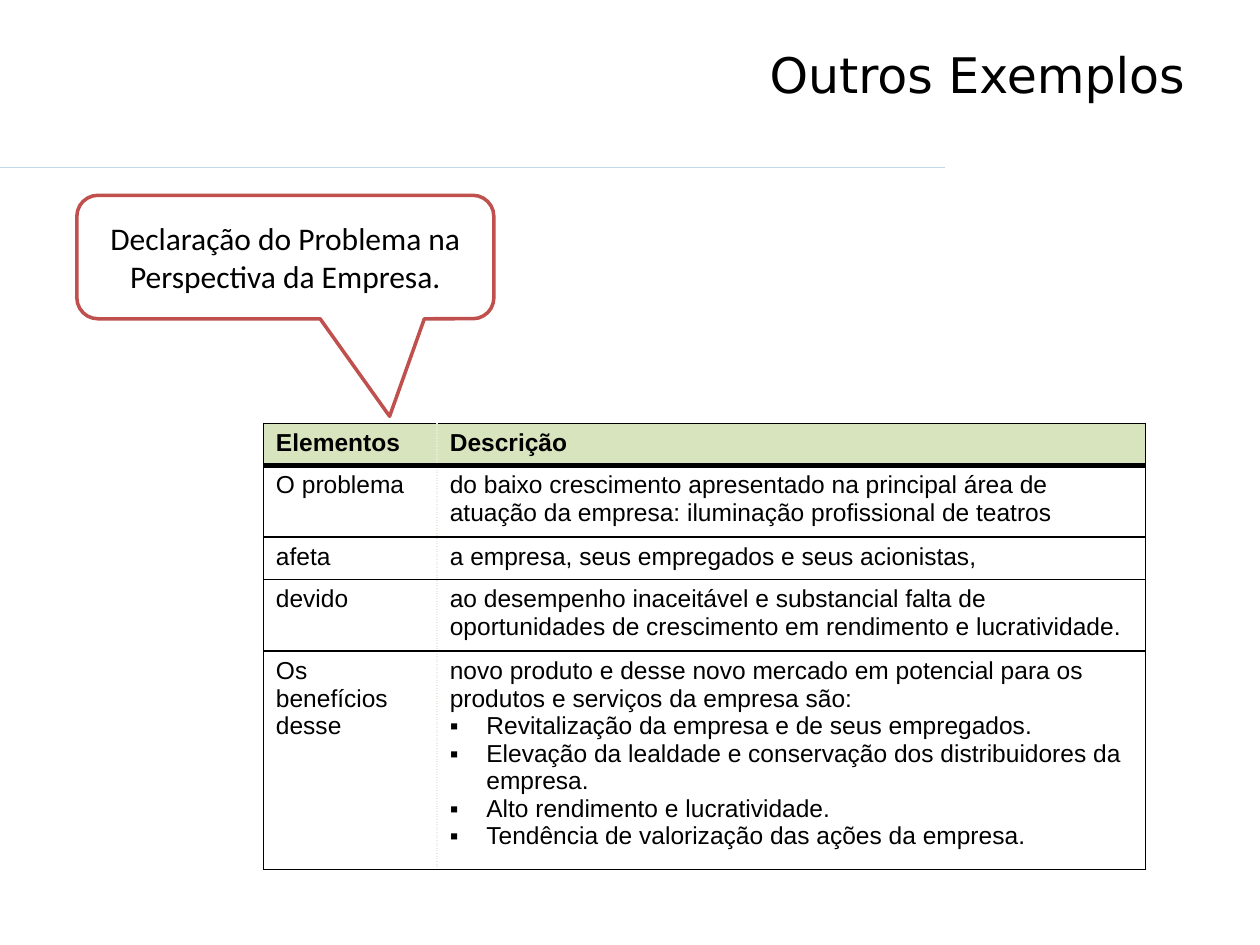
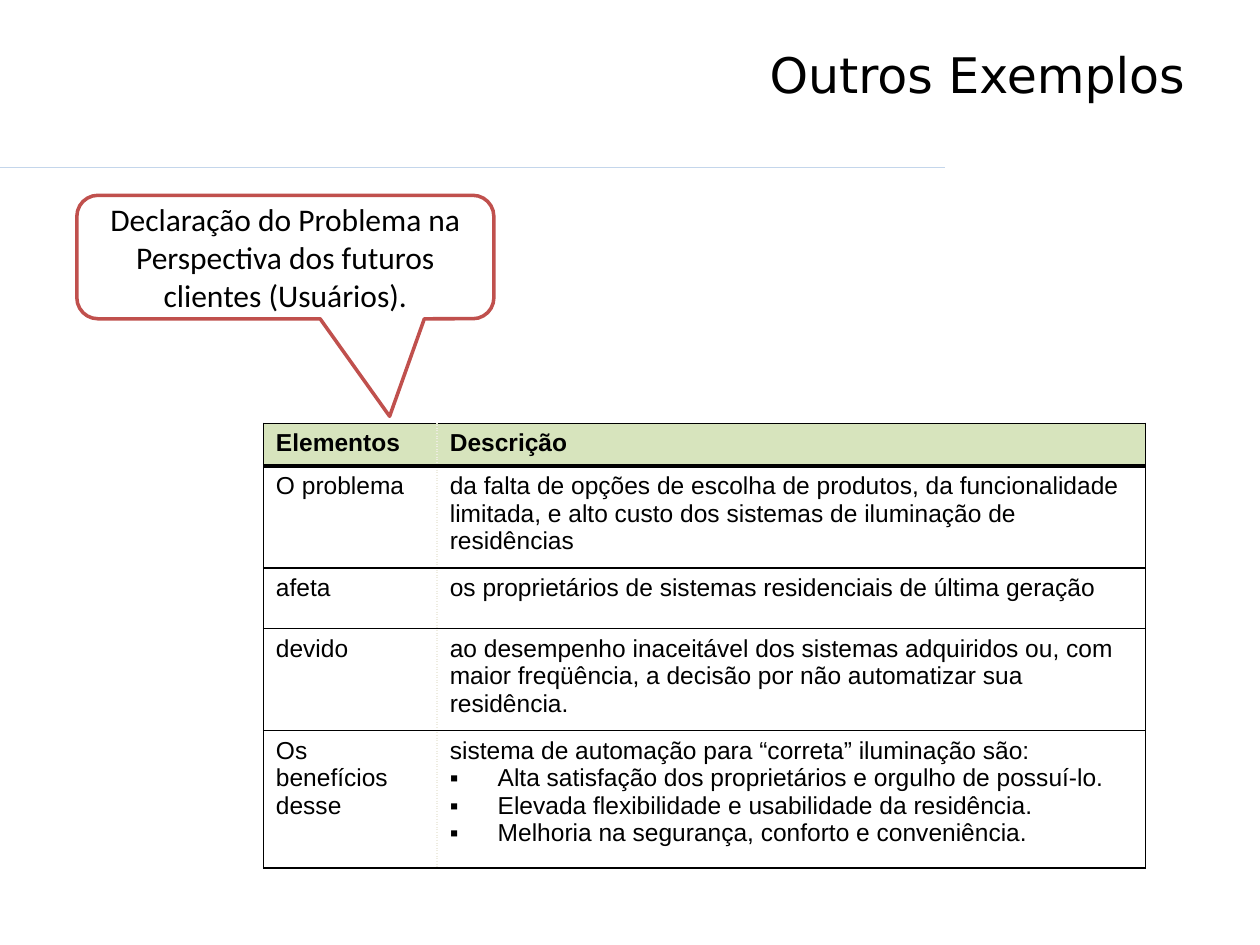
import pptx
import pptx.dml.color
import pptx.enum.dml
import pptx.enum.shapes
import pptx.enum.text
import pptx.oxml
import pptx.oxml.ns
import pptx.util
from lxml import etree

RGB = pptx.dml.color.RGBColor
BLACK = RGB(0x00, 0x00, 0x00)
WHITE = RGB(0xFF, 0xFF, 0xFF)
RULE_BLUE = RGB(0xC4, 0xD6, 0xEB)
CALLOUT_RED = RGB(0xC0, 0x50, 0x4D)
HEADER_GREEN = RGB(0xD7, 0xE4, 0xBD)
DIVIDER_GREY = RGB(0xEE, 0xEC, 0xE1)

ALIGN = pptx.enum.text.PP_ALIGN
ANCHOR = pptx.enum.text.MSO_ANCHOR
qn = pptx.oxml.ns.qn

SLIDE_WIDTH, SLIDE_HEIGHT = pptx.util.Inches(10), pptx.util.Inches(7.5)
GRID_COLUMNS, GRID_ROWS = 100, 75
BULLET = "▪"

TITLE = "Outros Exemplos"
HEADER = ("Elementos", "Descrição")
ELEMENTS = ("O problema", "afeta", "devido", "Os benefícios desse")
COLUMN_WIDTHS = (13.8, 56.2)

STATEMENTS = [
    {
        "callout": "Declaração do Problema na Perspectiva da Empresa.",
        "descriptions": [
            ["do baixo crescimento apresentado na principal área de atuação da "
             "empresa: iluminação profissional de teatros"],
            ["a empresa, seus empregados e seus acionistas,"],
            ["ao desempenho inaceitável e substancial falta de oportunidades de "
             "crescimento em rendimento e lucratividade."],
            ["novo produto e desse novo mercado em potencial para os produtos e "
             "serviços da empresa são:",
             "▪Revitalização da empresa e de seus empregados.",
             "▪Elevação da lealdade e conservação dos distribuidores da empresa.",
             "▪Alto rendimento e lucratividade.",
             "▪Tendência de valorização das ações da empresa."],
        ],
        "row_heights": (3.3, 5.7, 3.3, 5.7, 17.3),
        "bullet_indent": 0.29,
    },
    {
        "callout": "Declaração do Problema na Perspectiva dos futuros clientes (Usuários).",
        "descriptions": [
            ["da falta de opções de escolha de produtos, da funcionalidade limitada, "
             "e alto custo dos sistemas de iluminação de residências"],
            ["os proprietários de sistemas residenciais de última geração"],
            ["ao desempenho inaceitável dos sistemas adquiridos ou, com maior "
             "freqüência, a decisão por não automatizar sua residência."],
            ["sistema de automação para “correta” iluminação são:",
             "▪Alta satisfação dos proprietários e orgulho de possuí-lo.",
             "▪Elevada flexibilidade e usabilidade da residência.",
             "▪Melhoria na segurança, conforto e conveniência."],
        ],
        "row_heights": (3.4, 8.1, 4.8, 8.1, 10.9),
        "bullet_indent": 0.38,
    },
]


def across(columns):
    return round(SLIDE_WIDTH * columns / GRID_COLUMNS)


def down(rows):
    return round(SLIDE_HEIGHT * rows / GRID_ROWS)


def add_bullet(paragraph, indent):
    """Give the paragraph a square bullet with a hanging indent in inches."""
    properties = paragraph._p.get_or_add_pPr()
    hang = pptx.util.Inches(indent)
    properties.set("marL", str(hang))
    properties.set("indent", str(-hang))
    etree.SubElement(properties, qn("a:buFont"), typeface="Arial")
    etree.SubElement(properties, qn("a:buChar"), char=BULLET)


def write(frame, paragraphs, font="Arial", size=14, bold=False, align=ALIGN.LEFT,
          bullet_indent=0.38):
    """Fill a text frame; paragraphs that start with the bullet sign become bullets."""
    frame.word_wrap = True
    for index, text in enumerate(paragraphs):
        paragraph = frame.paragraphs[0] if index == 0 else frame.add_paragraph()
        paragraph.alignment = align
        if text.startswith(BULLET):
            add_bullet(paragraph, bullet_indent)
        run = paragraph.add_run()
        run.text = text.removeprefix(BULLET)
        run.font.name = font
        run.font.size = pptx.util.Pt(size)
        run.font.bold = bold
        run.font.color.rgb = BLACK


def set_borders(cell, borders):
    """Draw borders given as side: (colour, points, dash), sides in the order L, R, T, B."""
    properties = cell._tc.get_or_add_tcPr()
    for position, (side, (color, points, dash)) in enumerate(borders.items()):
        line = etree.Element(qn(f"a:ln{side}"), w=str(pptx.util.Pt(points)))
        fill = etree.SubElement(line, qn("a:solidFill"))
        etree.SubElement(fill, qn("a:srgbClr"), val=str(color))
        etree.SubElement(line, qn("a:prstDash"), val=dash)
        properties.insert(position, line)


class ProblemDeck:
    """Holds the presentation, its style and the slide being built."""

    def __init__(self):
        self.presentation = pptx.Presentation()
        self.presentation.slide_width = SLIDE_WIDTH
        self.presentation.slide_height = SLIDE_HEIGHT
        self.slide = None

    def new_slide(self, title):
        self.slide = self.presentation.slides.add_slide(self.presentation.slide_layouts[6])
        self.rule(0, 75, 13.3)
        self.title(title)

    def rule(self, start, end, row):
        line = self.slide.shapes.add_connector(
            pptx.enum.shapes.MSO_CONNECTOR.STRAIGHT,
            across(start), down(row), across(end), down(row))
        line.line.color.rgb = RULE_BLUE
        line.line.width = pptx.util.Pt(0.75)
        etree.SubElement(line._element.spPr, qn("a:effectLst"))

    def title(self, text):
        box = self.slide.shapes.add_textbox(across(5), down(3), across(90), down(12.5))
        write(box.text_frame, [text], font="DejaVu Sans", size=28, align=ALIGN.RIGHT)

    def callout(self, text):
        bubble = self.slide.shapes.add_shape(
            pptx.enum.shapes.MSO_SHAPE.ROUNDED_RECTANGULAR_CALLOUT,
            across(6.1), down(15.5), across(33.1), down(9.8))
        for index, value in enumerate((0.25, 1.29, 0.17)):
            bubble.adjustments[index] = value
        bubble.shadow.inherit = False
        bubble.fill.solid()
        bubble.fill.fore_color.rgb = WHITE
        bubble.line.color.rgb = CALLOUT_RED
        bubble.line.width = pptx.util.Pt(2)
        bubble.text_frame.vertical_anchor = ANCHOR.MIDDLE
        write(bubble.text_frame, [text], font="Calibri", size=18, align=ALIGN.CENTER)

    def statement_table(self, descriptions, row_heights, bullet_indent):
        rows = [[[heading] for heading in HEADER]]
        rows += [[[element], text] for element, text in zip(ELEMENTS, descriptions)]
        table = self.slide.shapes.add_table(
            len(rows), len(HEADER), across(20.9), down(33.6),
            across(sum(COLUMN_WIDTHS)), down(sum(row_heights))).table
        table.first_row = table.horz_banding = False
        for column, width in zip(table.columns, COLUMN_WIDTHS):
            column.width = across(width)
        for row, height in zip(table.rows, row_heights):
            row.height = down(height)
        for row, texts in enumerate(rows):
            for column, paragraphs in enumerate(texts):
                self.statement_cell(table.cell(row, column), row, column,
                                    paragraphs, bullet_indent)

    def statement_cell(self, cell, row, column, paragraphs, bullet_indent):
        is_header = row == 0
        cell.margin_left = cell.margin_right = pptx.util.Inches(0.1)
        cell.margin_top = cell.margin_bottom = pptx.util.Inches(0.05)
        if is_header:
            cell.fill.solid()
            cell.fill.fore_color.rgb = HEADER_GREEN
        else:
            cell.fill.background()
        outer = (BLACK, 0.75, "solid")
        divider = (DIVIDER_GREY, 1, "sysDot")
        left, right = (outer, divider) if column == 0 else (divider, outer)
        set_borders(cell, {
            "L": left,
            "R": right,
            "T": (BLACK, 3 if row == 1 else 1, "solid"),
            "B": (BLACK, 3 if is_header else 1, "solid"),
        })
        write(cell.text_frame, paragraphs, bold=is_header, bullet_indent=bullet_indent)


def main():
    deck = ProblemDeck()
    for statement in STATEMENTS:
        deck.new_slide(TITLE)
        deck.statement_table(statement["descriptions"], statement["row_heights"],
                             statement["bullet_indent"])
        deck.callout(statement["callout"])
    deck.presentation.save("out.pptx")


if __name__ == "__main__":
    main()
